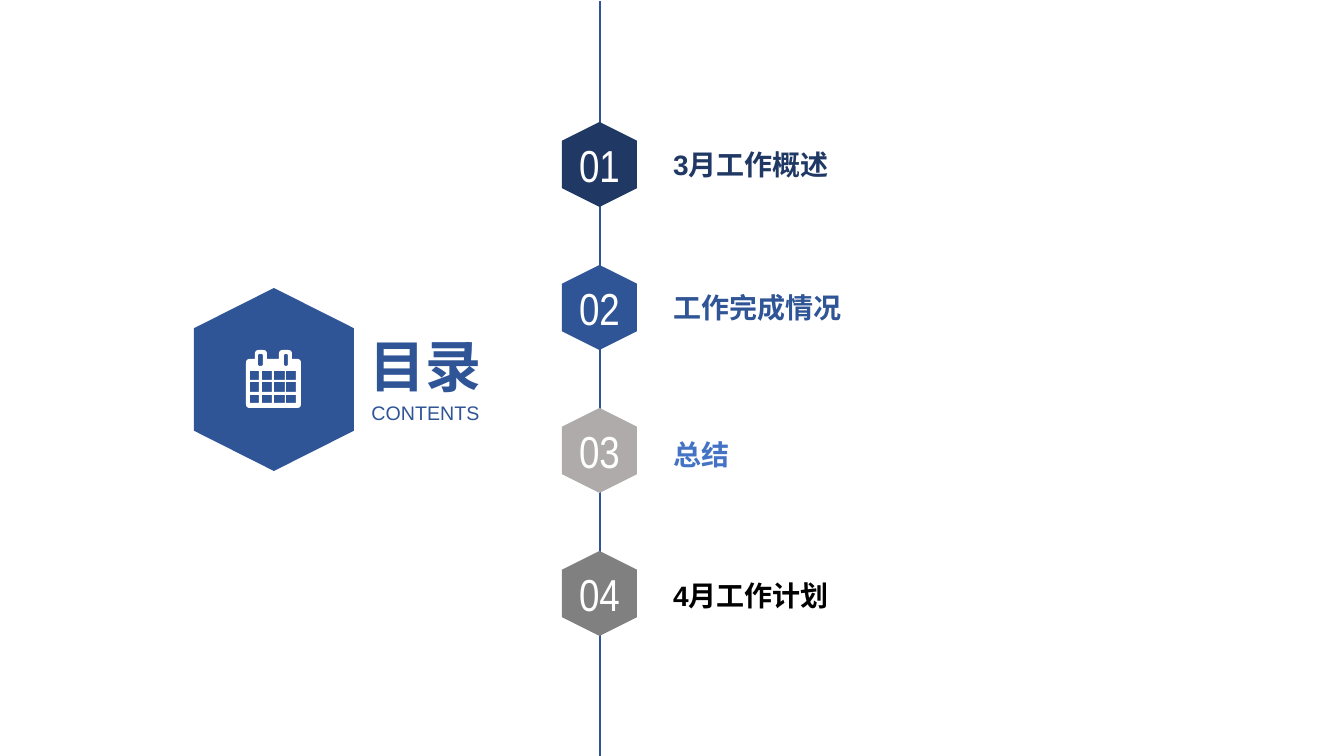
import pptx
import pptx.util
import pptx.dml.color
import pptx.enum.shapes
import pptx.enum.text
import pptx.oxml.xmlchemy
import lxml.etree

RGB = pptx.dml.color.RGBColor
PP_ALIGN = pptx.enum.text.PP_ALIGN
ANCHOR = pptx.enum.text.MSO_ANCHOR

SCALE = 914400 / 100.8
W, H = 1344, 756
NAVY = RGB(0x20, 0x38, 0x64)
BLUE = RGB(0x2F, 0x55, 0x97)
SKY = RGB(0x44, 0x72, 0xC4)
SILVER = RGB(0xAF, 0xAB, 0xAB)
GREY = RGB(0x80, 0x80, 0x80)
BLACK = RGB(0, 0, 0)
WHITE = RGB(0xFF, 0xFF, 0xFF)

TITLE = dict(name="Arial", size=pptx.util.Pt(40), bold=True)
SUBTITLE = dict(name="Arial", size=pptx.util.Pt(14))
NUMBER = dict(name="Arial Narrow", size=pptx.util.Pt(32))
LABEL = dict(name="Arial", size=pptx.util.Pt(20), bold=True)

CHAPTERS = [
    ("3月工作概述", NAVY, NAVY, 59),
    ("工作完成情况", BLUE, BLUE, 59),
    ("总结", SILVER, SKY, 63),
    ("4月工作计划", GREY, BLACK, 61),
]
PITCH = 143


def px(n):
    return pptx.util.Emu(round(n * SCALE))


def set_text(sp, text, fmt, color, align, anchor, wrap, inset=None):
    tf = sp.text_frame
    frame = dict(word_wrap=wrap, vertical_anchor=anchor)
    if inset is not None:
        frame.update(margin_left=px(inset), margin_right=px(inset),
                     margin_top=0, margin_bottom=0)
    for key, value in frame.items():
        setattr(tf, key, value)
    p = tf.paragraphs[0]
    p.alignment = align
    r = p.add_run()
    r.text = text
    for key, value in fmt.items():
        setattr(r.font, key, value)
    r.font.color.rgb = color


def add_label(shapes, box, *args, **kwargs):
    sp = shapes.add_textbox(*map(px, box))
    set_text(sp, *args, **kwargs)


def add_outline(shapes, contours, color):
    paths = [[(px(x), px(y)) for x, y in c] for c in contours]
    fb = shapes.build_freeform(*paths[0][0])
    fb.add_line_segments(paths[0][1:])
    for path in paths[1:]:
        fb.move_to(*path[0])
        fb.add_line_segments(path[1:])
    sp = fb.convert_to_shape()
    sp.shadow.inherit = False
    sp.fill.solid()
    sp.fill.fore_color.rgb = color
    sp.line.fill.background()
    return sp


def add_hexagon(shapes, x, y, w, h, color):
    d = 0.22 * h
    points = [(x + w / 2, y), (x + w, y + d), (x + w, y + h - d),
              (x + w / 2, y + h), (x, y + h - d), (x, y + d)]
    return add_outline(shapes, [points], color)


def rounded(corners, radius, steps=5):
    points = []
    for i, (x, y) in enumerate(corners):
        ends = []
        for nx, ny in (corners[i - 1], corners[(i + 1) % len(corners)]):
            k = radius / max(abs(nx - x), abs(ny - y))
            ends.append((x + (nx - x) * k, y + (ny - y) * k))
        (ax, ay), (bx, by) = ends
        for n in range(steps + 1):
            t = n / steps
            a, m, b = (1 - t) ** 2, 2 * t * (1 - t), t * t
            points.append((a * ax + m * x + b * bx, a * ay + m * y + b * by))
    return points


def rect(x1, y1, x2, y2):
    return [(x1, y1), (x2, y1), (x2, y2), (x1, y2)]


def add_calendar(shapes, x, y):
    left_ring = rounded([(9, 9), (9, 0), (21, 0), (21, 9)], 4)
    right_ring = rounded([(33, 9), (33, 0), (46, 0), (46, 9)], 4)
    body = rounded([(0, 9), (55, 9), (55, 58), (0, 58)], 4)
    corner = len(body) // 4
    frame = (body[:corner] + left_ring[corner:3 * corner] + [(21, 9), (33, 9)]
             + right_ring[corner:3 * corner] + [(46, 9)] + body[corner:])
    frame.insert(corner, (9, 9))
    slots = [rounded(rect(a, 4, b, 16), 2) for a, b in ((12, 17), (38, 42))]
    cells = [rect(a, top, b, bottom)
             for top, bottom in ((21, 30), (32, 42), (45, 53))
             for a, b in ((4, 13), (16, 26), (28, 39), (40, 50))]
    contours = [[(x + a, y + b) for a, b in c] for c in [frame] + slots + cells]
    add_outline(shapes, contours, WHITE)


def add_heading(s, x, y, w, h):
    badge = s.shapes.add_group_shape().shapes
    add_hexagon(badge, x, y, w, h, BLUE)
    add_calendar(badge, x + 52, y + 62)
    words = s.shapes.add_group_shape().shapes
    add_label(words, (x + w, y + 112, 143, 26), "CONTENTS", SUBTITLE, BLUE,
              PP_ALIGN.CENTER, ANCHOR.MIDDLE, True, inset=8)
    add_label(words, (x + w, y + 44, 143, 67), "目录", TITLE, BLUE,
              PP_ALIGN.CENTER, ANCHOR.MIDDLE, True, inset=0)


def add_axis(s, x, top, bottom):
    line = s.shapes.add_connector(pptx.enum.shapes.MSO_CONNECTOR.STRAIGHT,
                                  px(x), px(top), px(x), px(bottom))
    line.line.color.rgb = BLUE
    line.line.width = pptx.util.Pt(1)
    lxml.etree.SubElement(line._element.spPr, pptx.oxml.ns.qn("a:effectLst"))


def add_chapters(s, x, y, w, h):
    for i, (text, fill, color, bottom) in enumerate(CHAPTERS):
        top = y + i * PITCH
        sp = add_hexagon(s.shapes, x, top, w, h, fill)
        set_text(sp, f"{i + 1:02d}", NUMBER, WHITE,
                 PP_ALIGN.CENTER, ANCHOR.MIDDLE, False)
        add_label(s.shapes, (x + 111, top + bottom - 33, 393, 33), text, LABEL,
                  color, PP_ALIGN.LEFT, ANCHOR.BOTTOM, False, inset=0)


def main():
    prs = pptx.Presentation()
    prs.slide_width, prs.slide_height = px(W), px(H)
    s = prs.slides.add_slide(prs.slide_layouts[6])
    add_heading(s, 194, 288, 160, 183)
    add_axis(s, 600, 1, H)
    add_chapters(s, 562, 122, 75, 85)
    prs.save("out.pptx")


if __name__ == "__main__":
    main()
